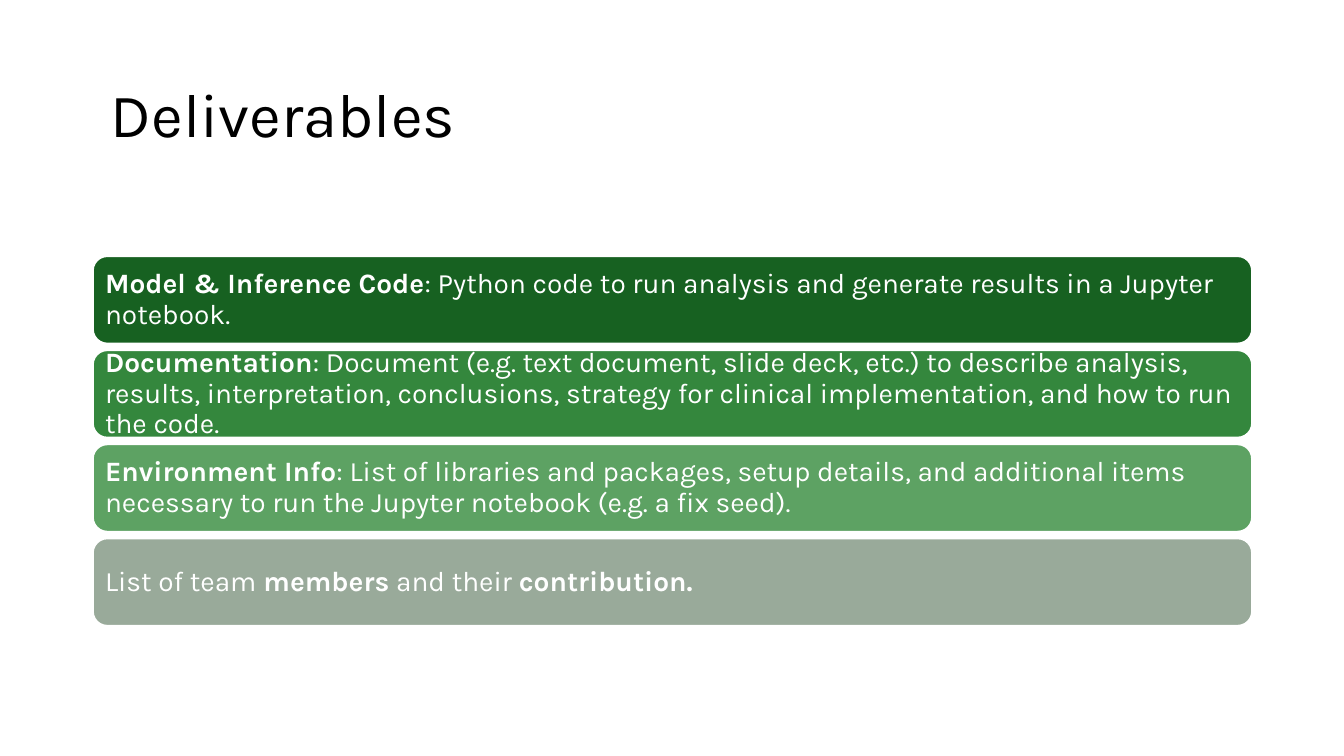
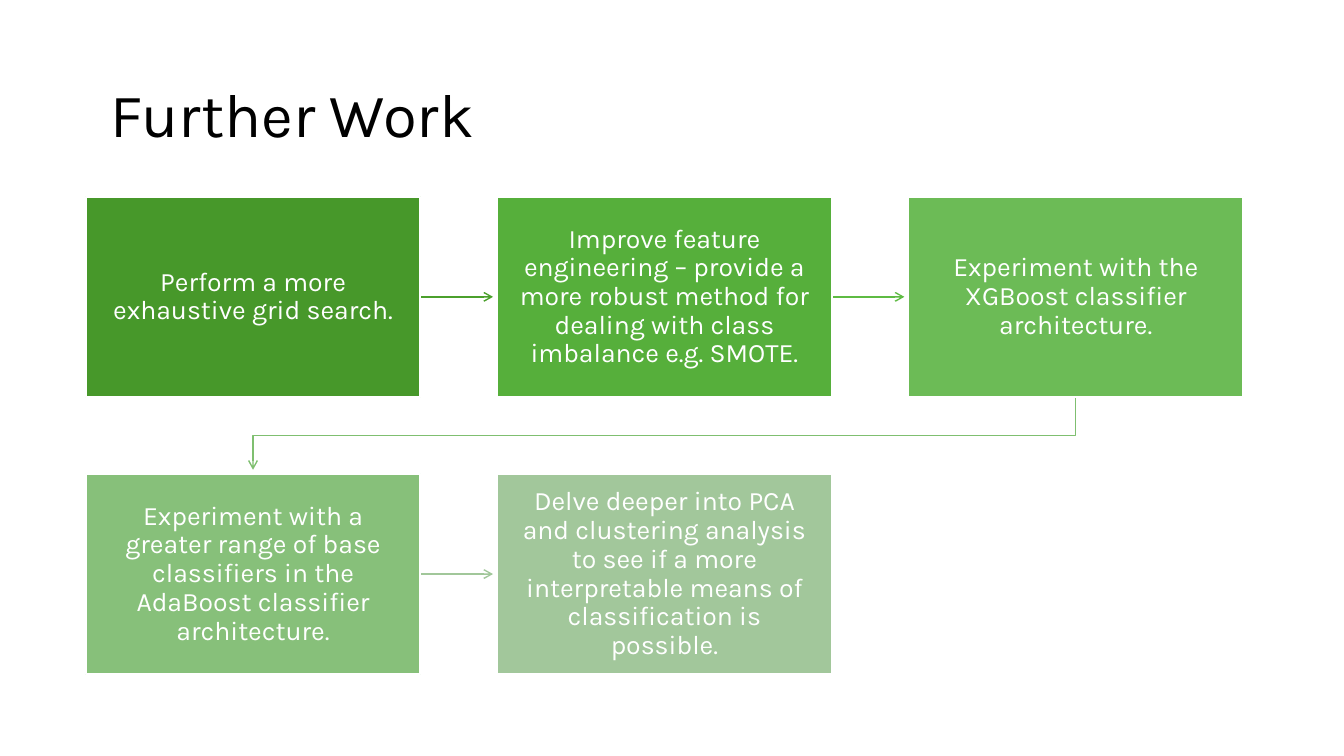
from lxml import etree
from pptx import Presentation
from pptx.dml.color import RGBColor
from pptx.enum.shapes import MSO_CONNECTOR, MSO_SHAPE
from pptx.enum.text import MSO_ANCHOR, MSO_AUTO_SIZE, PP_ALIGN
from pptx.oxml.ns import qn
from pptx.util import Inches, Pt

ROUND, RECT = MSO_SHAPE.ROUNDED_RECTANGLE, MSO_SHAPE.RECTANGLE
LEFT, CENTER = PP_ALIGN.LEFT, PP_ALIGN.CENTER
MIDDLE, BOTTOM = MSO_ANCHOR.MIDDLE, MSO_ANCHOR.BOTTOM
STRAIGHT, FIXED = MSO_CONNECTOR.STRAIGHT, MSO_AUTO_SIZE.NONE

FONT = "Karla"
COLORS = {
    "ink": "000000", "white": "FFFFFF",
    "bar1": "176121", "bar2": "34873D", "bar3": "5DA263", "bar4": "99AA9A",
    "step1": "47982A", "step2": "56AF3B", "step3": "6CBB56",
    "step4": "87C07A", "step5": "A2C79B",
    "link1": "4BA02C", "link2": "5EBB43", "link3": "7FBF70", "link4": "A1C79A",
}

BARS = [
    [("Model & Inference Code", True),
     (": Python code to run analysis and generate results in a Jupyter notebook.", False)],
    [("Documentation", True),
     (": Document (e.g. text document, slide deck, etc.) to describe analysis, results, "
      "interpretation, conclusions, strategy for clinical implementation, and how to run "
      "the code.", False)],
    [("Environment Info", True),
     (": List of libraries and packages, setup details, and additional items necessary to "
      "run the Jupyter notebook (e.g. a fix seed).", False)],
    [("List of team ", False), ("members", True), (" and their ", False),
     ("contribution.", True)],
]
STEPS = [
    "Perform a more exhaustive grid search.",
    "Improve feature engineering – provide a more robust method for dealing with class "
    "imbalance e.g. SMOTE.",
    "Experiment with the XGBoost classifier architecture.",
    "Experiment with a greater range of base classifiers in the AdaBoost classifier "
    "architecture.",
    "Delve deeper into PCA and clustering analysis to see if a more interpretable means of "
    "classification is possible.",
]

BAR_X, BAR_Y, BAR_W, BAR_H = 0.92, 2.54, 11.5, 0.87
BAR_STEP = (5.34 - BAR_Y) / (len(BARS) - 1)
COLS = 3
STEP_X, STEP_Y, STEP_W, STEP_H = 0.85, 1.95, 3.32, 1.99
PITCH_X, PITCH_Y = 4.08, 2.75
TIP = 0.04


def color(name):
    return RGBColor.from_string(COLORS[name])


def write(frame, runs, size, hue, align, anchor):
    frame.word_wrap = True
    frame.auto_size = FIXED
    frame.vertical_anchor = anchor
    para = frame.paragraphs[0]
    para.alignment = align
    para.line_spacing = 0.9
    for text, bold in runs:
        run = para.add_run()
        run.text = text
        font = run.font
        font.name, font.size, font.bold = FONT, Pt(size), bold
        font.color.rgb = color(hue)


def add_slide(deck, title, high, anchor):
    slide = deck.slides.add_slide(deck.slide_layouts[5])
    head = slide.shapes.title
    head.left, head.top = Inches(1), Inches(0.44)
    head.width, head.height = Inches(11.5), Inches(high)
    write(head.text_frame, [(title, False)], 44, "ink", LEFT, anchor)
    return slide


def add_box(slide, kind, area, fill, runs, size, align, inset):
    box = slide.shapes.add_shape(kind, *map(Inches, area))
    box.shadow.inherit = False
    box.fill.solid()
    box.fill.fore_color.rgb = color(fill)
    box.line.color.rgb = color("white")
    box.line.width = Pt(1.5)
    frame = box.text_frame
    frame.margin_left = frame.margin_right = Inches(inset)
    frame.margin_top = frame.margin_bottom = Inches(inset)
    write(frame, runs, size, "white", align, MIDDLE)


def add_link(slide, points, hue):
    spots = [(Inches(x), Inches(y)) for x, y in points]
    if len(spots) == 2:
        link = slide.shapes.add_connector(STRAIGHT, *spots[0], *spots[1])
    else:
        pen = slide.shapes.build_freeform(*spots[0])
        pen.add_line_segments(spots[1:], close=False)
        link = pen.convert_to_shape()
        link.fill.background()
    link.line.color.rgb = color(hue)
    link.line.width = Pt(1)
    props = link._element.spPr
    etree.SubElement(props.find(qn("a:ln")), qn("a:tailEnd"), type="arrow")
    etree.SubElement(props, qn("a:effectLst"))


def build_bars(deck):
    slide = add_slide(deck, "Deliverables", 1.11, BOTTOM)
    for i, runs in enumerate(BARS):
        area = (BAR_X, BAR_Y + i * BAR_STEP, BAR_W, BAR_H)
        add_box(slide, ROUND, area, f"bar{i + 1}", runs, 20, LEFT, 0.08)


def build_steps(deck):
    slide = add_slide(deck, "Further Work", 1.45, MIDDLE)
    spots = [(STEP_X + i % COLS * PITCH_X, STEP_Y + i // COLS * PITCH_Y)
             for i in range(len(STEPS))]
    for i, ((x, y), (to_x, to_y)) in enumerate(zip(spots, spots[1:])):
        if y == to_y:
            mid = y + STEP_H / 2
            points = [(x + STEP_W, mid), (to_x - TIP, mid)]
        else:
            start, end = x + STEP_W / 2, to_x + STEP_W / 2
            low = y + STEP_H
            turn = (low + to_y) / 2
            points = [(start, low), (start, turn), (end, turn), (end, to_y - TIP)]
        add_link(slide, points, f"link{i + 1}")
    for i, ((x, y), text) in enumerate(zip(spots, STEPS)):
        add_box(slide, RECT, (x, y, STEP_W, STEP_H), f"step{i + 1}",
                [(text, False)], 19, CENTER, 0.15)


def main():
    deck = Presentation()
    deck.slide_width, deck.slide_height = Inches(13.33), Inches(7.5)
    build_bars(deck)
    build_steps(deck)
    deck.save("out.pptx")


if __name__ == "__main__":
    main()
